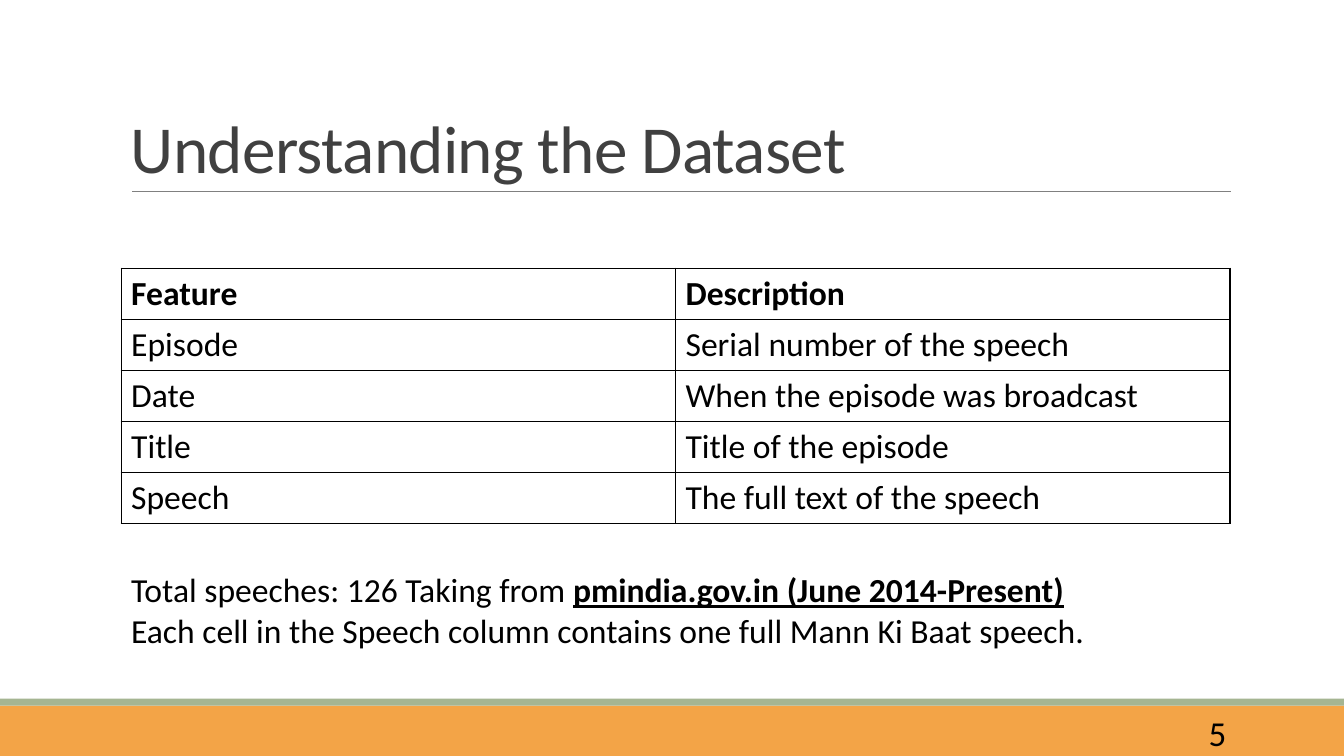
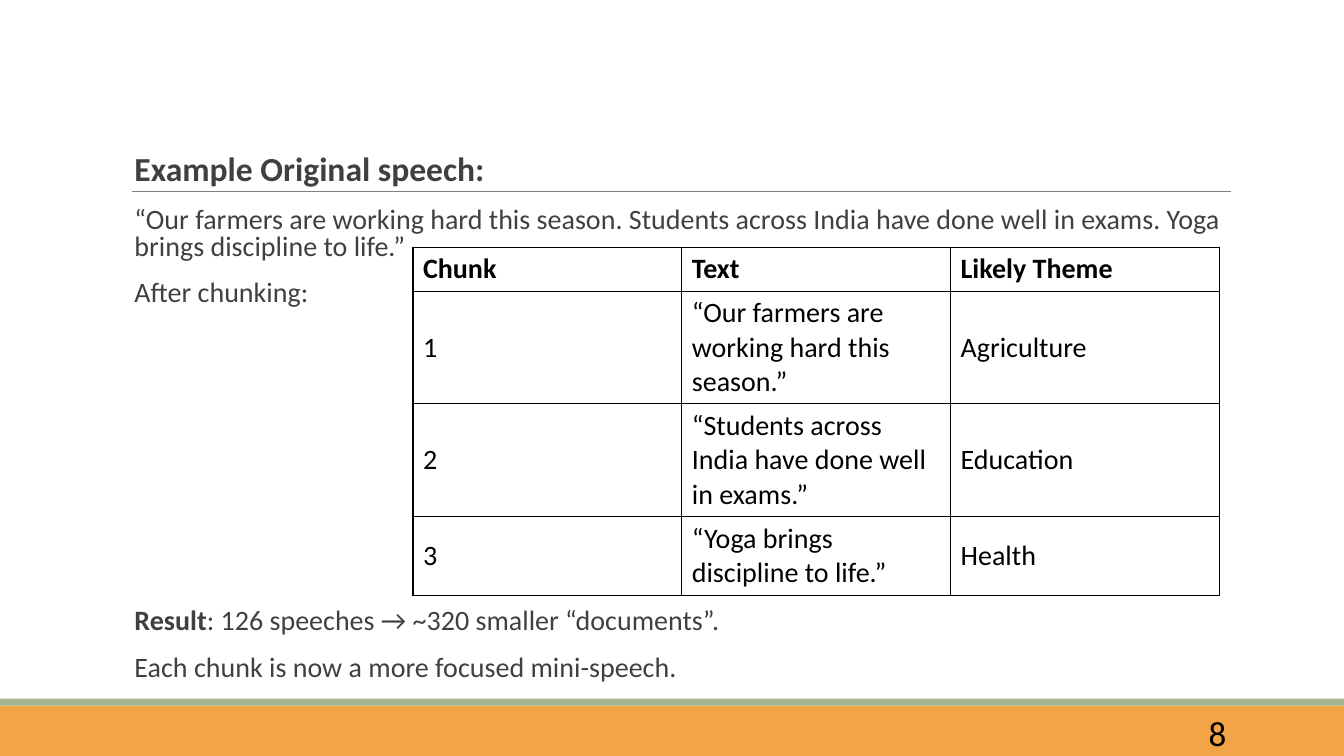
from lxml import etree
from pptx import Presentation
from pptx.dml.color import RGBColor
from pptx.enum.shapes import MSO_CONNECTOR, MSO_SHAPE
from pptx.enum.text import MSO_ANCHOR, PP_ALIGN
from pptx.oxml import parse_xml
from pptx.oxml.ns import nsdecls, qn
from pptx.util import Pt

RECTANGLE = MSO_SHAPE.RECTANGLE
STRAIGHT = MSO_CONNECTOR.STRAIGHT
TOP, MIDDLE, BOTTOM = MSO_ANCHOR.TOP, MSO_ANCHOR.MIDDLE, MSO_ANCHOR.BOTTOM
RIGHT = PP_ALIGN.RIGHT

FONT = "Calibri"
BLACK, DARK, GREY = "000000", "404040", "808080"
ORANGE, GREEN = "F3A447", "A5B592"
WIDTH, HEIGHT = 960, 540
BANDS = [(504, 36, ORANGE), (499, 5, GREEN)]
PAGE_NUMBERS = ["5", "8"]


def add_text(slide, box, paragraphs, size, color=BLACK, anchor=TOP, spacing=None, gap=0):
    """Add a text box; each paragraph is a list of (text, bold) runs."""
    frame = slide.shapes.add_textbox(*map(Pt, box)).text_frame
    frame.word_wrap = True
    frame.vertical_anchor = anchor
    for index, parts in enumerate(paragraphs):
        paragraph = frame.add_paragraph() if index else frame.paragraphs[0]
        paragraph.line_spacing = spacing
        if index:
            paragraph.space_before = Pt(gap)
        for text, bold in parts:
            run = paragraph.add_run()
            run.text = text
            run.font.name = FONT
            run.font.size = Pt(size)
            run.font.bold = bold
            run.font.color.rgb = RGBColor.from_string(color)
    return frame


def add_grid(slide, left, top, column_width, row_heights, rows, size):
    """Add a table with thin black borders, no fill and a bold first row."""
    columns = len(rows[0])
    table = slide.shapes.add_table(
        len(rows), columns, Pt(left), Pt(top),
        Pt(column_width * columns), Pt(sum(row_heights))).table
    table.horz_banding = False
    for column in table.columns:
        column.width = Pt(column_width)
    for r, (height, texts) in enumerate(zip(row_heights, rows)):
        table.rows[r].height = Pt(height)
        for c, text in enumerate(texts):
            cell = table.cell(r, c)
            cell.text = text
            cell.vertical_anchor = MIDDLE
            font = cell.text_frame.paragraphs[0].runs[0].font
            font.name = FONT
            font.size = Pt(size)
            font.bold = r == 0
            font.color.rgb = RGBColor.from_string(BLACK)
            properties = cell._tc.get_or_add_tcPr()
            for side in ("lnL", "lnR", "lnT", "lnB"):
                properties.append(parse_xml(
                    f'<a:{side} {nsdecls("a")} w="12700"><a:solidFill>'
                    f'<a:srgbClr val="{BLACK}"/></a:solidFill></a:{side}>'))
            cell.fill.background()


prs = Presentation()
prs.slide_width, prs.slide_height = Pt(WIDTH), Pt(HEIGHT)

# Shared bands, rule and page number
for number in PAGE_NUMBERS:
    slide = prs.slides.add_slide(prs.slide_layouts[6])
    for top, height, color in BANDS:
        band = slide.shapes.add_shape(RECTANGLE, 0, Pt(top), Pt(WIDTH), Pt(height))
        band.shadow.inherit = False
        band.fill.solid()
        band.fill.fore_color.rgb = RGBColor.from_string(color)
        band.line.fill.background()
    rule = slide.shapes.add_connector(STRAIGHT, Pt(94.5), Pt(136.5), Pt(879), Pt(136.5))
    rule.line.color.rgb = RGBColor.from_string(GREY)
    rule.line.width = Pt(0.5)
    etree.SubElement(rule._element.spPr, qn("a:effectLst"))
    page = add_text(slide, (780, 508.5, 103, 29), [[(number, False)]], 25, anchor=MIDDLE)
    page.paragraphs[0].alignment = RIGHT

dataset_slide, chunking_slide = prs.slides

# Understanding the Dataset
title = add_text(dataset_slide, (86.5, 22.5, 792, 114.5),
                 [[("Understanding the Dataset", False)]], 48, DARK, BOTTOM, 0.85)
title.paragraphs[0].runs[0].font._element.set("spc", "-50")

features = [
    ("Feature", "Description"),
    ("Episode", "Serial number of the speech"),
    ("Date", "When the episode was broadcast"),
    ("Title", "Title of the episode"),
    ("Speech", "The full text of the speech"),
]
add_grid(dataset_slide, 86.5, 191.5, 396, [36.5] * len(features), features, 24)

dataset_note = add_text(dataset_slide, (86.5, 403, 841, 65.5), [
    [("Total speeches: 126 Taking from ", False),
     ("pmindia.gov.in (June 2014-Present)", True)],
    [("Each cell in the Speech column contains one full Mann Ki Baat speech.", False)],
], 24)
dataset_note.paragraphs[0].runs[1].font.underline = True

# Chunking example
example = add_text(chunking_slide, (89, 108, 808, 128), [
    [("Example Original speech:", True)],
    [("“Our farmers are working hard this season. Students across India have done "
      "well in exams. Yoga brings discipline to life.”", False)],
    [("After chunking:", False)],
], 20, DARK, spacing=0.8, gap=14)
example.paragraphs[0].runs[0].font.size = Pt(24)

add_text(chunking_slide, (89, 431.5, 808, 66), [
    [("Result", True), (": 126 speeches → ~320 smaller “documents”.", False)],
    [("Each chunk is now a more focused mini-speech.", False)],
], 20, DARK, spacing=0.8, gap=14)

chunks = [
    ("Chunk", "Text", "Likely Theme"),
    ("1", "“Our farmers are working hard this season.”", "Agriculture"),
    ("2", "“Students across India have done well in exams.”", "Education"),
    ("3", "“Yoga brings discipline to life.”", "Health"),
]
add_grid(chunking_slide, 295, 176.5, 192, [31.5, 80.5, 80.5, 56.5], chunks, 20)

prs.save("out.pptx")
